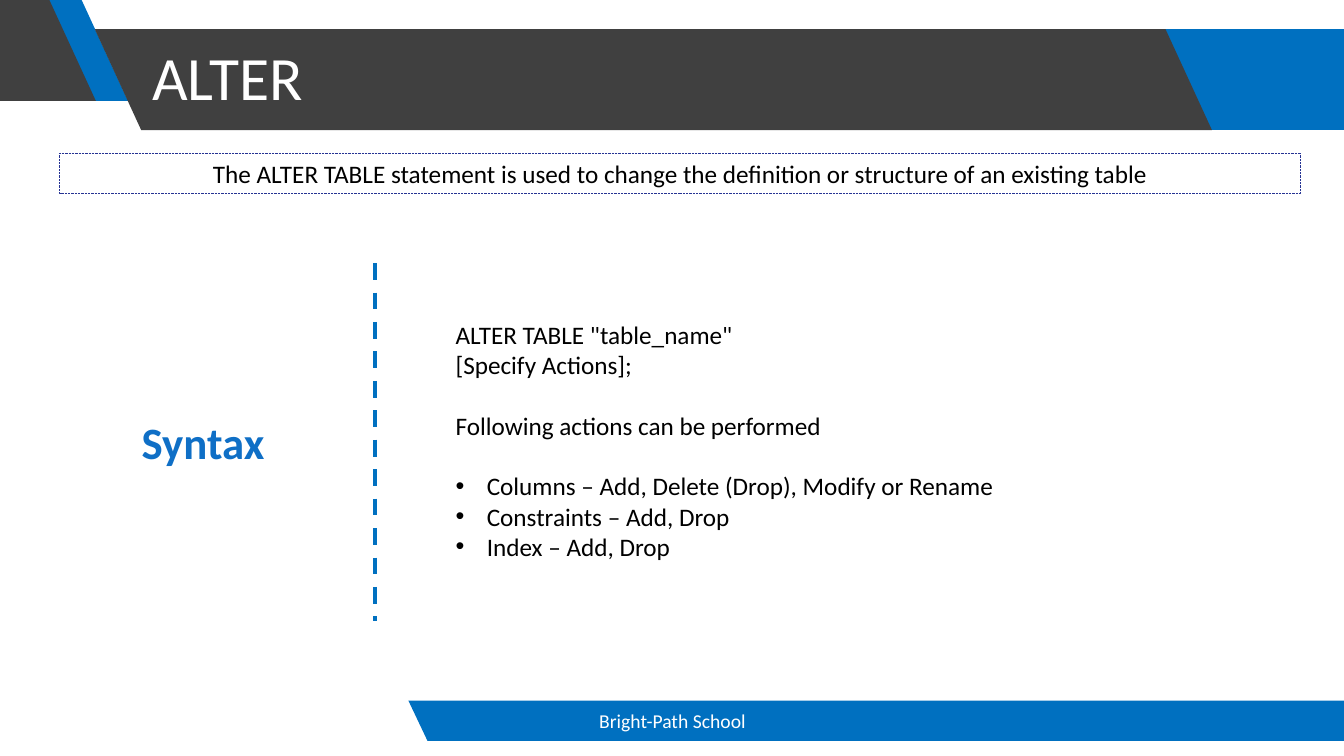
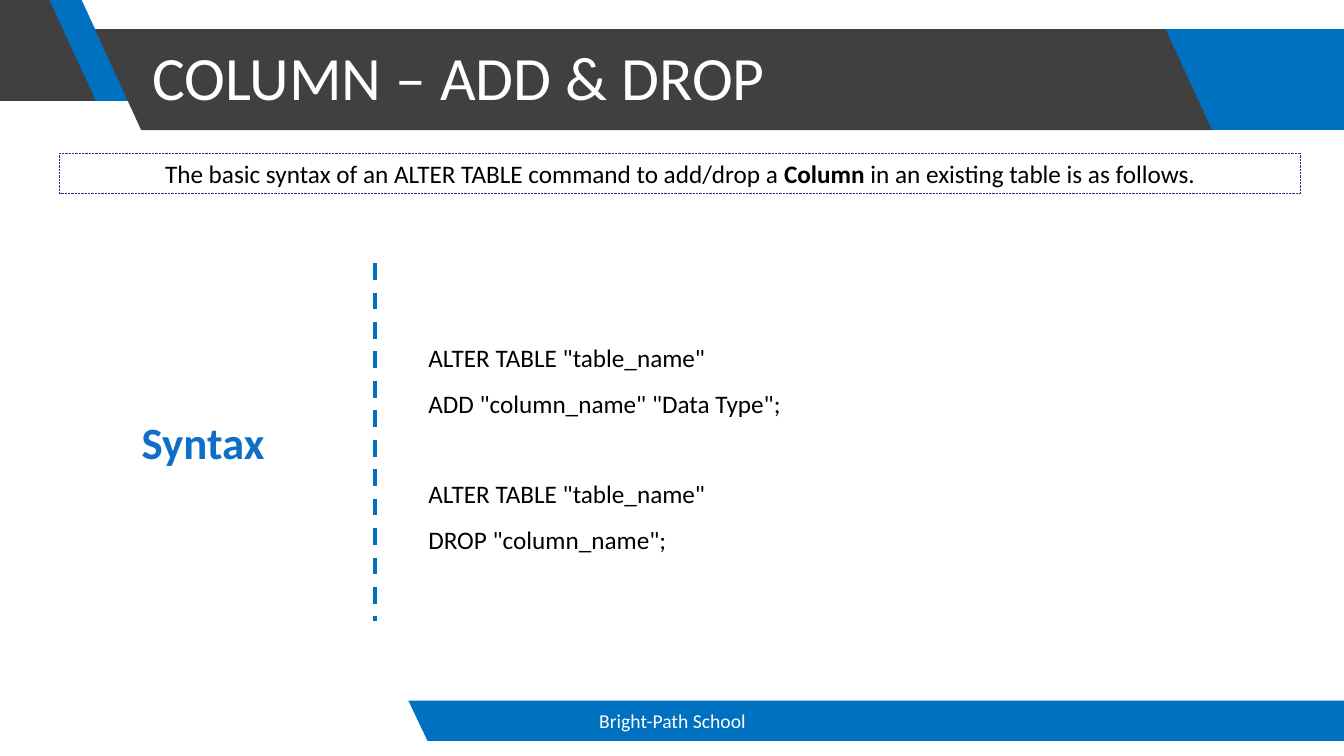
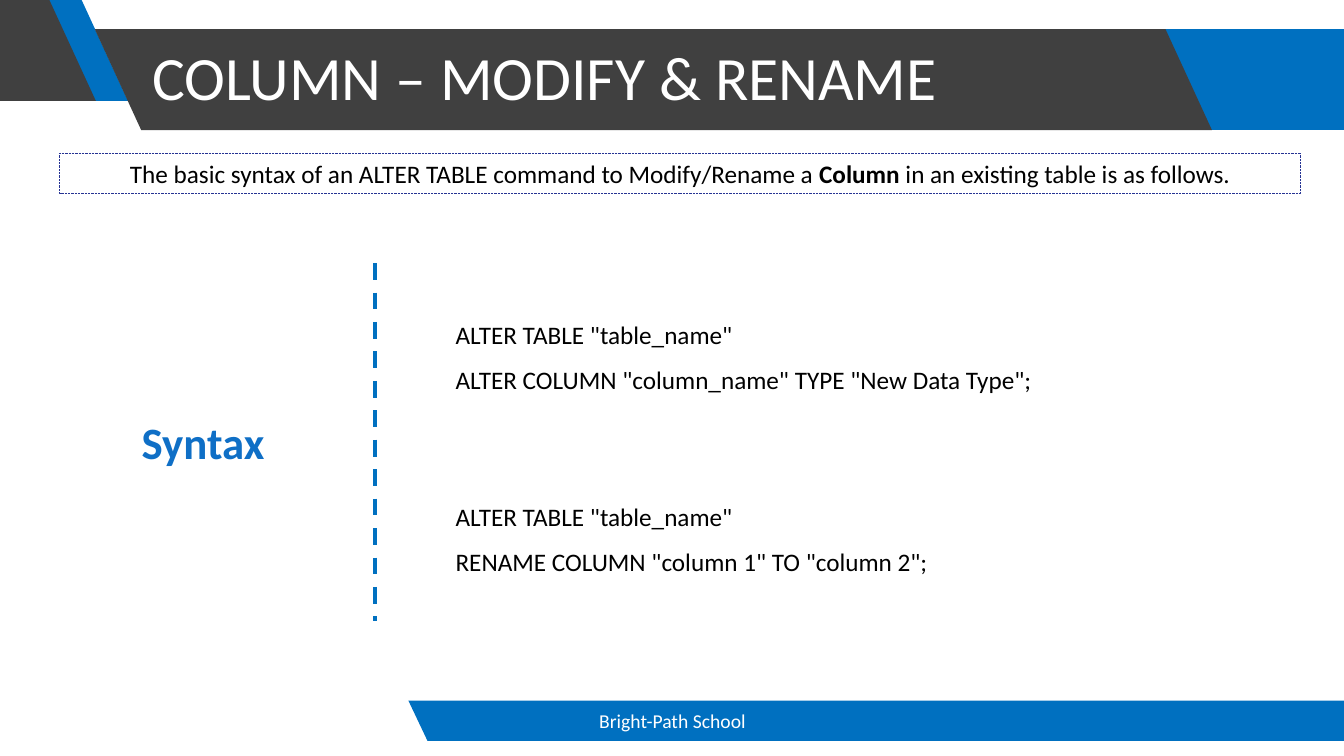
from typing import NamedTuple

from lxml.etree import SubElement
from pptx import Presentation
from pptx.dml.color import RGBColor
from pptx.enum.dml import MSO_LINE
from pptx.enum.shapes import MSO_CONNECTOR, MSO_SHAPE
from pptx.enum.text import MSO_ANCHOR, PP_ALIGN
from pptx.oxml.ns import qn
from pptx.util import Pt

PX = 9144  # EMU per px, 100 px to the inch
SLIDE_WIDTH, SLIDE_HEIGHT = 1333, 750
FONT = "Calibri"
BODY_SIZE = 18
BLANK_LINE = 21.6  # points
BULLET_INDENT = 31
SLANT = 46
BAND_HEIGHT = 100

BLUE = RGBColor(0x00, 0x70, 0xC0)
DARK = RGBColor(0x40, 0x40, 0x40)
LABEL_BLUE = RGBColor(0x0F, 0x6F, 0xC6)
FRAME_BLUE = RGBColor(0x26, 0x33, 0x93)
WHITE = RGBColor(0xFF, 0xFF, 0xFF)
BLACK = RGBColor(0x00, 0x00, 0x00)


class Box(NamedTuple):
    left: int
    top: int
    width: int
    height: int

    def emu(self):
        return [length * PX for length in self]


class Line(NamedTuple):
    """A line of syntax; gap counts the line heights left free above it."""
    text: str
    gap: int = 0
    bullet: bool = False


class Topic(NamedTuple):
    title: str
    statement: list  # (text, bold) runs
    syntax_box: Box
    spacing: float
    lines: list


HEADER = Box(0, 0, SLIDE_WIDTH, 129)
FOOTER = Box(405, 695, SLIDE_WIDTH - 405, 40)
STATEMENT = Box(59, 152, 1231, 40)
SYNTAX_LABEL = Box(31, 261, 341, 355)

TOPICS = [
    Topic(
        "ALTER",
        [("The ALTER TABLE statement is used to change the definition "
          "or structure of an existing table", False)],
        Box(442, 312, 826, 252), 1.0,
        [Line('ALTER TABLE "table_name"'),
         Line("[Specify Actions];"),
         Line("Following actions can be performed", gap=1),
         Line("Columns – Add, Delete (Drop), Modify or Rename", gap=1, bullet=True),
         Line("Constraints – Add, Drop", bullet=True),
         Line("Index – Add, Drop", bullet=True)],
    ),
    Topic(
        "COLUMN – ADD & DROP",
        [("The basic syntax of an ALTER TABLE command to add/drop a", False),
         (" Column", True),
         (" in an existing table is as follows.", False)],
        Box(415, 320, 826, 237), 1.5,
        [Line('ALTER TABLE "table_name"'),
         Line('ADD "column_name" "Data Type";'),
         Line('ALTER TABLE "table_name"', gap=1),
         Line('DROP "column_name";')],
    ),
    Topic(
        "COLUMN – MODIFY & RENAME",
        [("The basic syntax of an ALTER TABLE command to Modify/Rename a", False),
         (" Column", True),
         (" in an existing table is as follows.", False)],
        Box(442, 297, 826, 283), 1.5,
        [Line('ALTER TABLE "table_name"'),
         Line('ALTER COLUMN "column_name" TYPE "New Data Type";'),
         Line('ALTER TABLE "table_name"', gap=2),
         Line('RENAME COLUMN "column 1" TO "column 2";')],
    ),
]


def paint(shape, color):
    shape.shadow.inherit = False
    shape.fill.solid()
    shape.fill.fore_color.rgb = color
    shape.line.fill.background()


def add_polygon(slide, points, color):
    builder = slide.shapes.build_freeform(*points[0], scale=PX)
    builder.add_line_segments(points[1:], close=True)
    paint(builder.convert_to_shape(), color)


def add_leaning_band(slide, left, top, width, color):
    right, bottom = left + width, top + BAND_HEIGHT
    add_polygon(slide, [(left, top), (right, top),
                        (right + SLANT, bottom), (left + SLANT, bottom)], color)


def set_font(paragraph, size, color, bold=None):
    font = paragraph.font
    font.name, font.size, font.bold = FONT, Pt(size), bold
    font.color.rgb = color


def add_text_frame(slide, box, anchor=MSO_ANCHOR.TOP):
    frame = slide.shapes.add_textbox(*box.emu()).text_frame
    frame.word_wrap = True
    frame.vertical_anchor = anchor
    return frame


def add_label(slide, box, text, size, color, align=PP_ALIGN.CENTER, bold=None):
    """Add one vertically centred line of text and return its paragraph."""
    paragraph = add_text_frame(slide, box, MSO_ANCHOR.MIDDLE).paragraphs[0]
    paragraph.text = text
    paragraph.alignment = align
    set_font(paragraph, size, color, bold)
    return paragraph


def add_header(slide, box, title):
    left, top = box.left, box.top
    band_top = top + box.height - BAND_HEIGHT
    end_block = Box(left + 1068, band_top, box.width - 1068, BAND_HEIGHT)
    paint(slide.shapes.add_shape(MSO_SHAPE.RECTANGLE, *end_block.emu()), BLUE)
    add_leaning_band(slide, left + 34, top, 47, BLUE)
    add_polygon(slide, [(left, top), (left + 49, top),
                        (left + 49 + SLANT, top + BAND_HEIGHT),
                        (left, top + BAND_HEIGHT)], DARK)
    add_leaning_band(slide, left + 94, band_top, 1062, DARK)
    title_box = Box(left + 141, top + 7, 1014, 145)
    add_label(slide, title_box, title, 44, WHITE, PP_ALIGN.LEFT).line_spacing = 0.9


def add_footer(slide, box):
    right, bottom = box.left + box.width, box.top + box.height
    add_polygon(slide, [(box.left, box.top), (right, box.top),
                        (right, bottom), (box.left + 19, bottom)], BLUE)
    add_label(slide, Box(box.left + 37, box.top, 450, box.height),
              "Bright-Path School", 14, WHITE)


def add_statement(slide, box, runs):
    shape = slide.shapes.add_shape(MSO_SHAPE.RECTANGLE, *box.emu())
    shape.shadow.inherit = False
    shape.fill.background()
    shape.line.color.rgb = FRAME_BLUE
    shape.line.width = Pt(0.5)
    shape.line.dash_style = MSO_LINE.ROUND_DOT
    frame = shape.text_frame
    frame.word_wrap = True
    frame.vertical_anchor = MSO_ANCHOR.TOP
    paragraph = frame.paragraphs[0]
    paragraph.alignment = PP_ALIGN.CENTER
    set_font(paragraph, BODY_SIZE, BLACK)
    for text, bold in runs:
        run = paragraph.add_run()
        run.text = text
        run.font.bold = bold


def add_syntax_label(slide, box):
    """Add the heading with the dashed divider along the box's right side."""
    right = box.left + box.width
    divider = slide.shapes.add_connector(
        MSO_CONNECTOR.STRAIGHT, right * PX, box.top * PX,
        right * PX, (box.top + box.height) * PX)
    divider.line.color.rgb = BLUE
    divider.line.width = Pt(3)
    divider.line.dash_style = MSO_LINE.DASH
    SubElement(divider._element.spPr, qn("a:effectLst"))
    add_label(slide, Box(box.left, box.top + 145, box.width, 64),
              "Syntax", 32, LABEL_BLUE, bold=True)


def add_bullet(paragraph):
    properties = paragraph._p.get_or_add_pPr()
    properties.set("marL", str(BULLET_INDENT * PX))
    properties.set("indent", str(-BULLET_INDENT * PX))
    SubElement(properties, qn("a:buFont")).set("typeface", "Arial")
    SubElement(properties, qn("a:buChar")).set("char", "•")


def add_syntax(slide, box, lines, spacing):
    frame = add_text_frame(slide, box)
    for index, line in enumerate(lines):
        paragraph = frame.add_paragraph() if index else frame.paragraphs[0]
        paragraph.text = line.text
        if line.bullet:
            add_bullet(paragraph)
        paragraph.line_spacing = spacing
        if line.gap:
            paragraph.space_before = Pt(line.gap * BLANK_LINE * spacing)
        set_font(paragraph, BODY_SIZE, BLACK)


def add_topic_slide(presentation, topic):
    slide = presentation.slides.add_slide(presentation.slide_layouts[6])
    add_header(slide, HEADER, topic.title)
    add_footer(slide, FOOTER)
    add_statement(slide, STATEMENT, topic.statement)
    add_syntax_label(slide, SYNTAX_LABEL)
    add_syntax(slide, topic.syntax_box, topic.lines, topic.spacing)


def main():
    presentation = Presentation()
    presentation.slide_width = SLIDE_WIDTH * PX
    presentation.slide_height = SLIDE_HEIGHT * PX
    for topic in TOPICS:
        add_topic_slide(presentation, topic)
    presentation.save("out.pptx")


if __name__ == "__main__":
    main()
